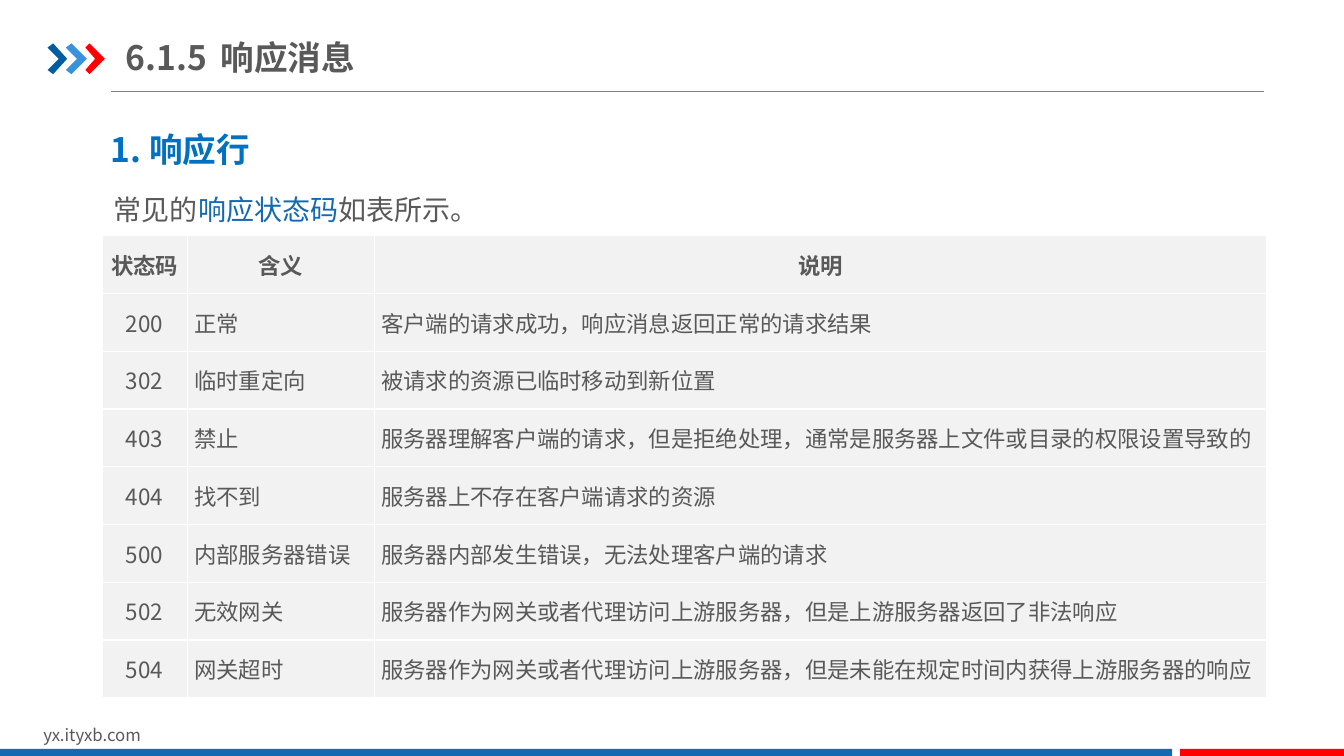
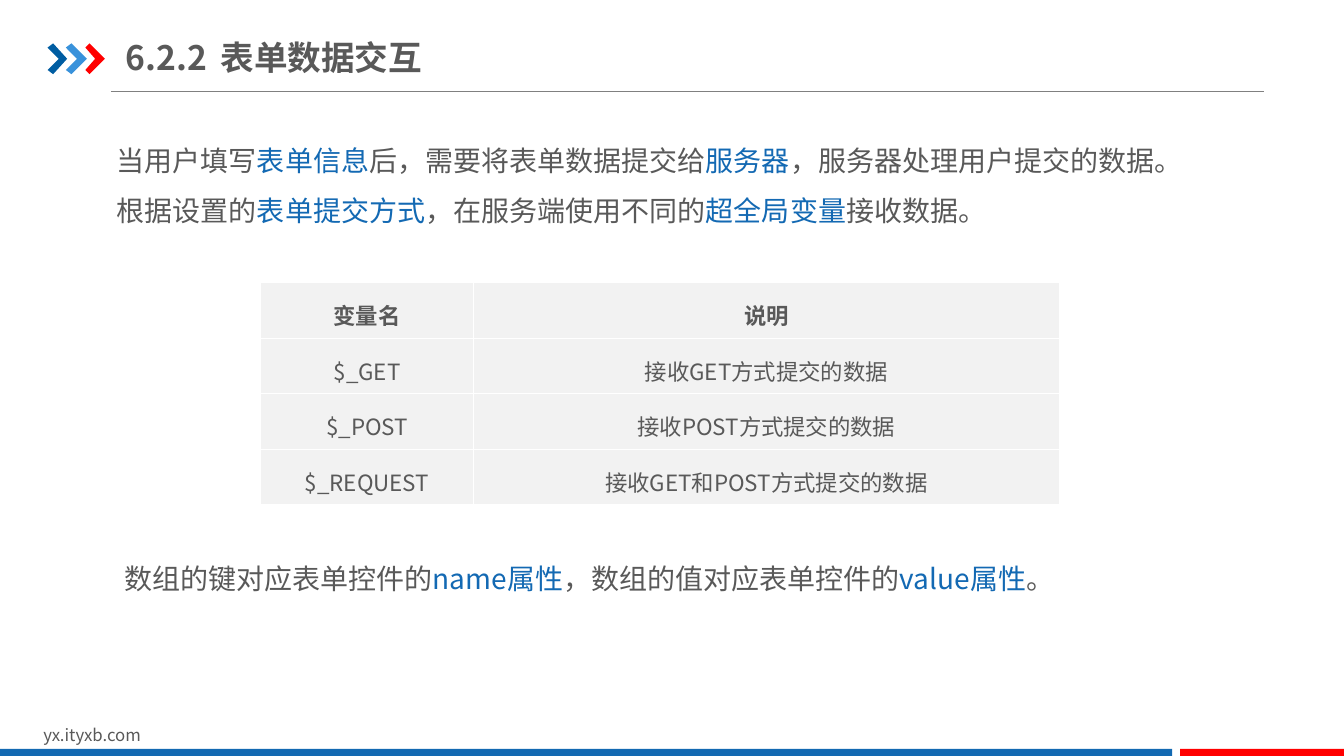
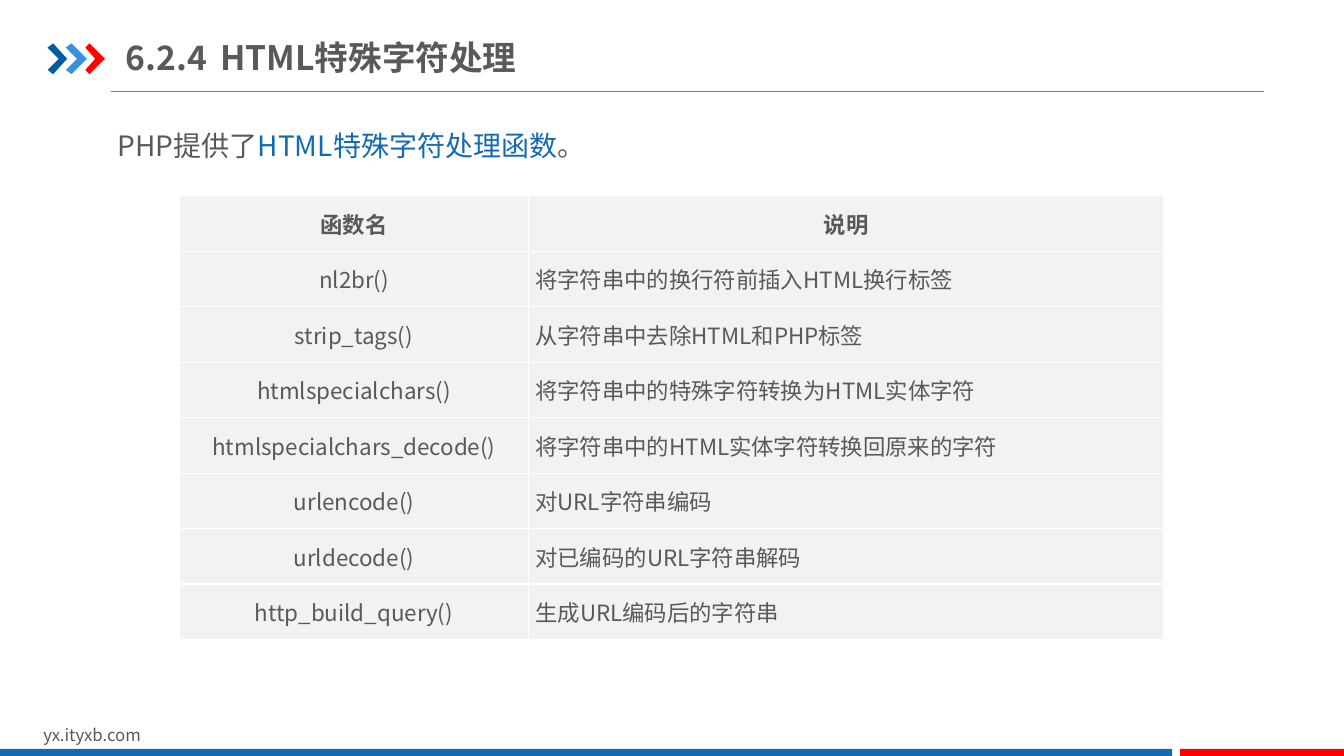
"""Build three lesson slides on web responses and form data."""
from lxml.etree import SubElement
from pptx import Presentation
from pptx.dml.color import RGBColor
from pptx.enum.shapes import MSO_CONNECTOR, MSO_SHAPE
from pptx.enum.text import MSO_ANCHOR, MSO_AUTO_SIZE, PP_ALIGN
from pptx.oxml.ns import qn
from pptx.util import Pt

FONT = "Noto Sans CJK SC"
GREY = RGBColor(0x59, 0x59, 0x59)
RULE = RGBColor(0x80, 0x80, 0x80)
PALE = RGBColor(0xF2, 0xF2, 0xF2)
NAVY = RGBColor(0x00, 0x5D, 0xA2)
SKY = RGBColor(0x39, 0x92, 0xDB)
RED = RGBColor(0xFF, 0x00, 0x00)
BAND = RGBColor(0x13, 0x69, 0xB2)
MARK = RGBColor(0x13, 0x69, 0xB3)
BLUE = RGBColor(0x00, 0x70, 0xC0)

BODY = {"size": Pt(20)}
HEAD = {"size": Pt(24), "bold": True}
CELL = {"size": Pt(16), "bold": False}
TOP = {"size": Pt(16), "bold": True}
NOTE = {"size": Pt(12)}
GROW = {"word_wrap": True, "auto_size": MSO_AUTO_SIZE.SHAPE_TO_FIT_TEXT}
BAR = {"word_wrap": True, "vertical_anchor": MSO_ANCHOR.MIDDLE,
       "margin_left": 0, "margin_right": 0,
       "margin_top": Pt(5), "margin_bottom": Pt(5)}
PAD = {"margin_left": Pt(5), "margin_right": Pt(5),
       "margin_top": 0, "margin_bottom": 0}
CHEVRON = [(0, 3), (3.5, 0), (14.4, 10.8), (3.5, 21.6), (0, 18.6), (7.6, 10.8)]

CODES = [
    ("状态码", "含义", "说明"),
    ("200", "正常", "客户端的请求成功，响应消息返回正常的请求结果"),
    ("302", "临时重定向", "被请求的资源已临时移动到新位置"),
    ("403", "禁止", "服务器理解客户端的请求，但是拒绝处理，通常是服务器上文件或目录的权限设置导致的"),
    ("404", "找不到", "服务器上不存在客户端请求的资源"),
    ("500", "内部服务器错误", "服务器内部发生错误，无法处理客户端的请求"),
    ("502", "无效网关", "服务器作为网关或者代理访问上游服务器，但是上游服务器返回了非法响应"),
    ("504", "网关超时", "服务器作为网关或者代理访问上游服务器，但是未能在规定时间内获得上游服务器的响应"),
]
VARS = [
    ("变量名", "说明"),
    ("$_GET", "接收GET方式提交的数据"),
    ("$_POST", "接收POST方式提交的数据"),
    ("$_REQUEST", "接收GET和POST方式提交的数据"),
]
FUNCS = [
    ("函数名", "说明"),
    ("nl2br()", "将字符串中的换行符前插入HTML换行标签"),
    ("strip_tags()", "从字符串中去除HTML和PHP标签"),
    ("htmlspecialchars()", "将字符串中的特殊字符转换为HTML实体字符"),
    ("htmlspecialchars_decode()", "将字符串中的HTML实体字符转换回原来的字符"),
    ("urlencode()", "对URL字符串编码"),
    ("urldecode()", "对已编码的URL字符串解码"),
    ("http_build_query()", "生成URL编码后的字符串"),
]


def put(item, looks):
    """Set each attribute in a dict of format values."""
    for name, value in looks.items():
        setattr(item, name, value)


def write(para, text, looks, ink=GREY):
    """Write text whose parts between bars are highlighted."""
    for spot, part in enumerate(text.split("|")):
        run = para.add_run()
        run.text = part
        put(run.font, {"name": FONT, **looks})
        run.font.color.rgb = MARK if spot % 2 else ink
        SubElement(run.font._element, qn("a:ea"), typeface=FONT)


def prose(slide, box, lines, looks=BODY, frame=GROW, ink=GREY, lead=None,
          inset=0, stop=None):
    """Place a text box with one paragraph for each line."""
    text = slide.shapes.add_textbox(*map(Pt, box)).text_frame
    put(text, frame)
    for spot, line in enumerate(lines):
        para = text.add_paragraph() if spot else text.paragraphs[0]
        props = para._p.get_or_add_pPr()
        if inset:
            props.set("indent", str(Pt(inset)))
        if lead:
            para.line_spacing = lead
        if stop:
            tabs = SubElement(props, qn("a:tabLst"))
            SubElement(tabs, qn("a:tab"), pos=str(Pt(stop)), algn="l")
        write(para, line, looks, ink)


def paint(shape, ink):
    """Give a shape a plain fill with no line or shadow."""
    shape.shadow.inherit = False
    shape.fill.solid()
    shape.fill.fore_color.rgb = ink
    shape.line.fill.background()


def head(slide, box, title):
    """Place the chevrons, title and rule in the head box."""
    left, top, width, height = box
    for spot, ink in enumerate((NAVY, SKY, RED)):
        dots = [(left + 13.4 * spot + x, top + 10 + y) for x, y in CHEVRON]
        form = slide.shapes.build_freeform(*dots[0], scale=Pt(1))
        form.add_line_segments(dots[1:], close=True)
        paint(form.convert_to_shape(), ink)
    prose(slide, (left + 56, top, 306.7, 39.6), [title], HEAD, BAR, stop=67.5)
    ends = (left + 45.2, top + height, left + width, top + height)
    rule = slide.shapes.add_connector(MSO_CONNECTOR.STRAIGHT, *map(Pt, ends))
    rule.line.color.rgb = RULE
    rule.line.width = Pt(0.75)
    SubElement(rule._element.spPr, qn("a:effectLst"))


def foot(slide, box):
    """Place the site address and two bands in the foot box."""
    left, top, width, height = box
    prose(slide, (left + 23.8, top, 229, 21.6), ["yx.ityxb.com"], NOTE)
    for start, end, ink in ((0, 837.3, BAND), (843, width, RED)):
        area = (left + start, top + 20.9, end - start, height - 20.9)
        band = slide.shapes.add_shape(MSO_SHAPE.RECTANGLE, *map(Pt, area))
        paint(band, ink)


def edge(cell):
    """Draw white borders around a cell."""
    props = cell._tc.get_or_add_tcPr()
    for spot, side in enumerate(("lnL", "lnR", "lnT", "lnB")):
        line = props.makeelement(qn("a:" + side), {"w": str(Pt(1))})
        fill = SubElement(line, qn("a:solidFill"))
        SubElement(fill, qn("a:srgbClr"), val="FFFFFF")
        props.insert(spot, line)


def grid(slide, spot, cols, row, data, rest=PP_ALIGN.JUSTIFY,
         hold=MSO_ANCHOR.MIDDLE, lead=None):
    """Place a table with a bold top row and a centred first column."""
    size = (sum(cols), row * len(data))
    frame = slide.shapes.add_table(len(data), len(cols), *map(Pt, spot + size))
    table = frame.table
    put(table, {"first_row": False, "horz_banding": False})
    for col, width in zip(table.columns, cols):
        col.width = Pt(width)
    for down, texts in enumerate(data):
        table.rows[down].height = Pt(row)
        for over, text in enumerate(texts):
            cell = table.cell(down, over)
            put(cell, {**PAD, "vertical_anchor": hold})
            cell.fill.solid()
            cell.fill.fore_color.rgb = PALE
            edge(cell)
            para = cell.text_frame.paragraphs[0]
            para.alignment = rest if down and over else PP_ALIGN.CENTER
            if lead:
                para.line_spacing = lead
            write(para, text, CELL if down else TOP)


def page(deck, title):
    """Add a blank slide with the shared head and foot."""
    slide = deck.slides.add_slide(deck.slide_layouts[6])
    head(slide, (34, 21, 869, 44.5), title)
    foot(slide, (0, 514, 960, 27.4))
    return slide


def codes(deck):
    """Build the slide on response status codes."""
    slide = page(deck, "6.1.5\t响应消息")
    prose(slide, (53.3, 134, 479.5, 31.7), ["常见的|响应状态码|如表所示。"], inset=21)
    grid(slide, (72.8, 168.3), (61, 133.5, 637.5), 41.3, CODES)
    prose(slide, (72, 88.6, 315.4, 36), ["1. 响应行"], HEAD, ink=BLUE)


def forms(deck):
    """Build the slide on form data."""
    slide = page(deck, "6.2.2\t表单数据交互")
    lines = ["当用户填写|表单信息|后，需要将表单数据提交给|服务器|，服务器处理用户提交的数据。",
             "根据设置的|表单提交方式|，在服务端使用不同的|超全局变量|接收数据。"]
    prose(slide, (76.3, 87, 828, 80), lines, lead=1.5)
    grid(slide, (186.2, 202), (152, 418.5), 39.6, VARS,
         PP_ALIGN.CENTER, MSO_ANCHOR.TOP, 1.5)
    prose(slide, (60.5, 397.5, 822.2, 31.7),
          ["数组的键对应表单控件的|name属性|，数组的值对应表单控件的|value属性|。"], inset=21)


def funcs(deck):
    """Build the slide on special characters."""
    slide = page(deck, "6.2.4\tHTML特殊字符处理")
    prose(slide, (77, 88.6, 720, 31.7), ["PHP提供了|HTML特殊字符处理函数|。"])
    grid(slide, (128.4, 139.8), (249, 453.8), 39.65, FUNCS)


def main():
    """Build and save the deck."""
    deck = Presentation()
    put(deck, {"slide_width": Pt(960), "slide_height": Pt(540)})
    for build in (codes, forms, funcs):
        build(deck)
    deck.save("out.pptx")


if __name__ == "__main__":
    main()
